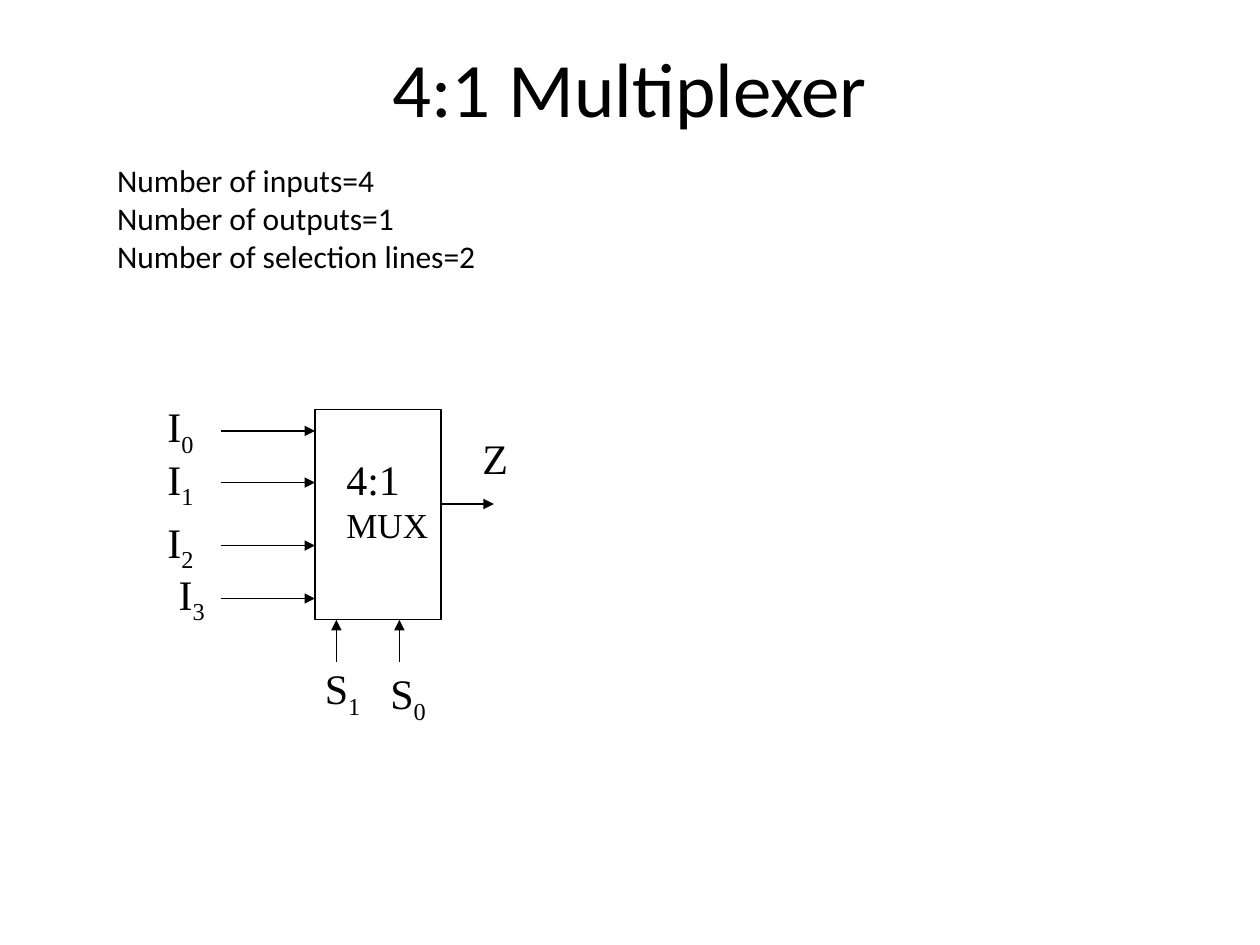
"""Build a slide showing the block symbol of a 4:1 multiplexer."""
from dataclasses import dataclass

from lxml.etree import SubElement
from pptx import Presentation
from pptx.dml.color import RGBColor
from pptx.enum.shapes import MSO_CONNECTOR, MSO_SHAPE
from pptx.enum.text import MSO_ANCHOR, MSO_AUTO_SIZE, PP_ALIGN
from pptx.oxml.ns import qn
from pptx.util import Inches, Pt

COLOURS = {"ink": "000000", "paper": "FFFFFF"}
HEADING_FONT = "Calibri"
DIAGRAM_FONT = "Times New Roman"
MUX_LEFT, MUX_TOP, MUX_WIDTH, MUX_HEIGHT = 2.5, 3.25, 1, 1.67
MUX_RIGHT, MUX_BOTTOM = MUX_LEFT + MUX_WIDTH, MUX_TOP + MUX_HEIGHT


@dataclass(frozen=True)
class Signal:
    """An arrow, with its label's letter, subscript, position and width."""
    start: tuple[float, float]
    end: tuple[float, float]
    letter: str
    subscript: str
    label_at: tuple[float, float]
    label_width: float


def input_signal(number: int, y: float, label_left: float, label_top: float) -> Signal:
    """Describe a data input entering the left side."""
    return Signal((1.75, y), (MUX_LEFT, y), "I", str(number), (label_left, label_top), 0.42)


def select_signal(number: int, x: float, label_left: float, label_top: float) -> Signal:
    """Describe a selection line entering from below."""
    return Signal((x, 5.25), (x, MUX_BOTTOM), "S", str(number), (label_left, label_top), 0.5)


SIGNALS = [
    input_signal(0, 3.42, 1.23, 3.13),
    input_signal(1, 3.83, 1.23, 3.55),
    input_signal(2, 4.33, 1.23, 4.05),
    input_signal(3, 4.75, 1.32, 4.46),
    select_signal(1, 2.67, 2.48, 5.21),
    select_signal(0, 3.17, 3, 5.25),
    Signal((MUX_RIGHT, 4), (3.92, 4), "Z", "", (3.73, 3.38), 0.4),
]


def colour(name: str) -> RGBColor:
    """Look up a named colour."""
    return RGBColor.from_string(COLOURS[name])


def place(shape, left: float, top: float, width: float, height: float) -> None:
    """Position a shape in inches."""
    shape.left, shape.top = Inches(left), Inches(top)
    shape.width, shape.height = Inches(width), Inches(height)


def add_run(paragraph, text: str, size: float, font: str, subscript: bool = False) -> None:
    """Append a formatted run."""
    run = paragraph.add_run()
    run.text = text
    run.font.size, run.font.name = Pt(size), font
    run.font.color.rgb = colour("ink")
    if subscript:
        run.font._element.set("baseline", "-25000")


def add_label(slide, left: float, top: float, width: float, height: float):
    """Add an unwrapped text box and return its frame."""
    frame = slide.shapes.add_textbox(
        Inches(left), Inches(top), Inches(width), Inches(height)).text_frame
    frame.word_wrap = False
    frame.auto_size = MSO_AUTO_SIZE.SHAPE_TO_FIT_TEXT
    return frame


def draw_heading(slide) -> None:
    """Fill the title placeholder."""
    title = slide.shapes.title
    place(title, 0.5, 0.06, 9, 1.25)
    title.text_frame.vertical_anchor = MSO_ANCHOR.MIDDLE
    heading = title.text_frame.paragraphs[0]
    heading.alignment = PP_ALIGN.CENTER
    add_run(heading, "4:1 Multiplexer", 44, HEADING_FONT)


def draw_facts(slide) -> None:
    """Fill the body placeholder with an unbulleted list."""
    body = slide.placeholders[1]
    place(body, 0.83, 1.23, 8.03, 1.01)
    frame = body.text_frame
    frame.auto_size = MSO_AUTO_SIZE.SHAPE_TO_FIT_TEXT
    facts = ("Number of inputs=4", "Number of outputs=1", "Number of selection lines=2")
    for index, fact in enumerate(facts):
        line = frame.add_paragraph() if index else frame.paragraphs[0]
        line.space_before = Pt(0)
        properties = line._p.get_or_add_pPr()
        properties.set("marL", "0")
        properties.set("indent", "0")
        SubElement(properties, qn("a:buNone"))
        add_run(line, fact, 18, HEADING_FONT)


def draw_mux(slide) -> None:
    """Draw the multiplexer block and its name."""
    block = slide.shapes.add_shape(
        MSO_SHAPE.RECTANGLE, Inches(MUX_LEFT), Inches(MUX_TOP),
        Inches(MUX_WIDTH), Inches(MUX_HEIGHT))
    block.shadow.inherit = False
    block.fill.solid()
    block.fill.fore_color.rgb = colour("paper")
    block.line.color.rgb = colour("ink")
    block.line.width = Pt(0.75)
    name = add_label(slide, 2.65, 3.55, 0.85, 0.83)
    add_run(name.paragraphs[0], "4:1", 24, DIAGRAM_FONT)
    add_run(name.add_paragraph(), "MUX", 20, DIAGRAM_FONT)


def draw_signal(slide, signal: Signal) -> None:
    """Draw a signal's arrow and label."""
    arrow = slide.shapes.add_connector(
        MSO_CONNECTOR.STRAIGHT, *map(Inches, signal.start + signal.end))
    arrow.line.color.rgb = colour("ink")
    arrow.line.width = Pt(0.75)
    SubElement(arrow.line._get_or_add_ln(), qn("a:tailEnd"), type="triangle")
    SubElement(arrow._element.spPr, qn("a:effectLst"))
    label = add_label(slide, *signal.label_at, signal.label_width, 0.5).paragraphs[0]
    add_run(label, signal.letter, 24, DIAGRAM_FONT)
    if signal.subscript:
        add_run(label, signal.subscript, 24, DIAGRAM_FONT, subscript=True)


def main() -> None:
    """Assemble and save the slide."""
    presentation = Presentation()
    presentation.slide_width, presentation.slide_height = Inches(10), Inches(7.5)
    slide = presentation.slides.add_slide(presentation.slide_layouts[1])
    draw_heading(slide)
    draw_facts(slide)
    draw_mux(slide)
    for signal in SIGNALS:
        draw_signal(slide, signal)
    presentation.save("out.pptx")


if __name__ == "__main__":
    main()
